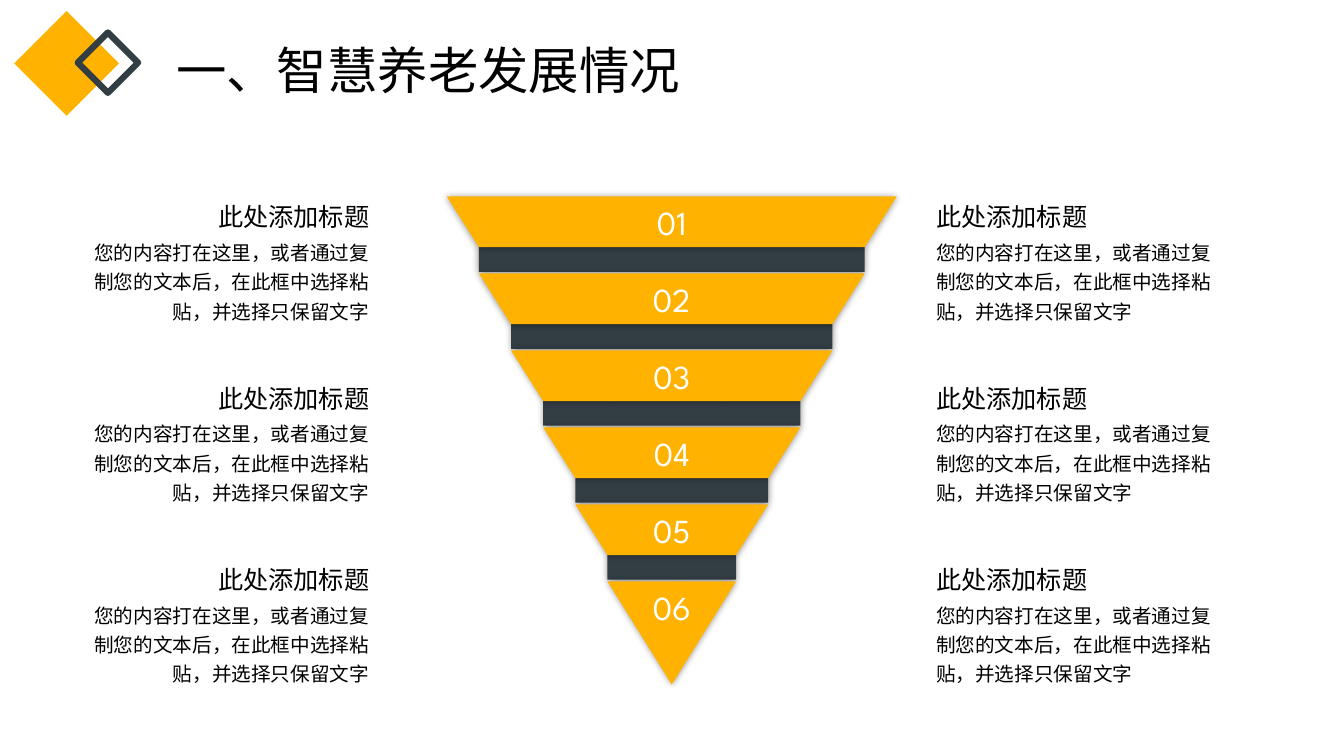
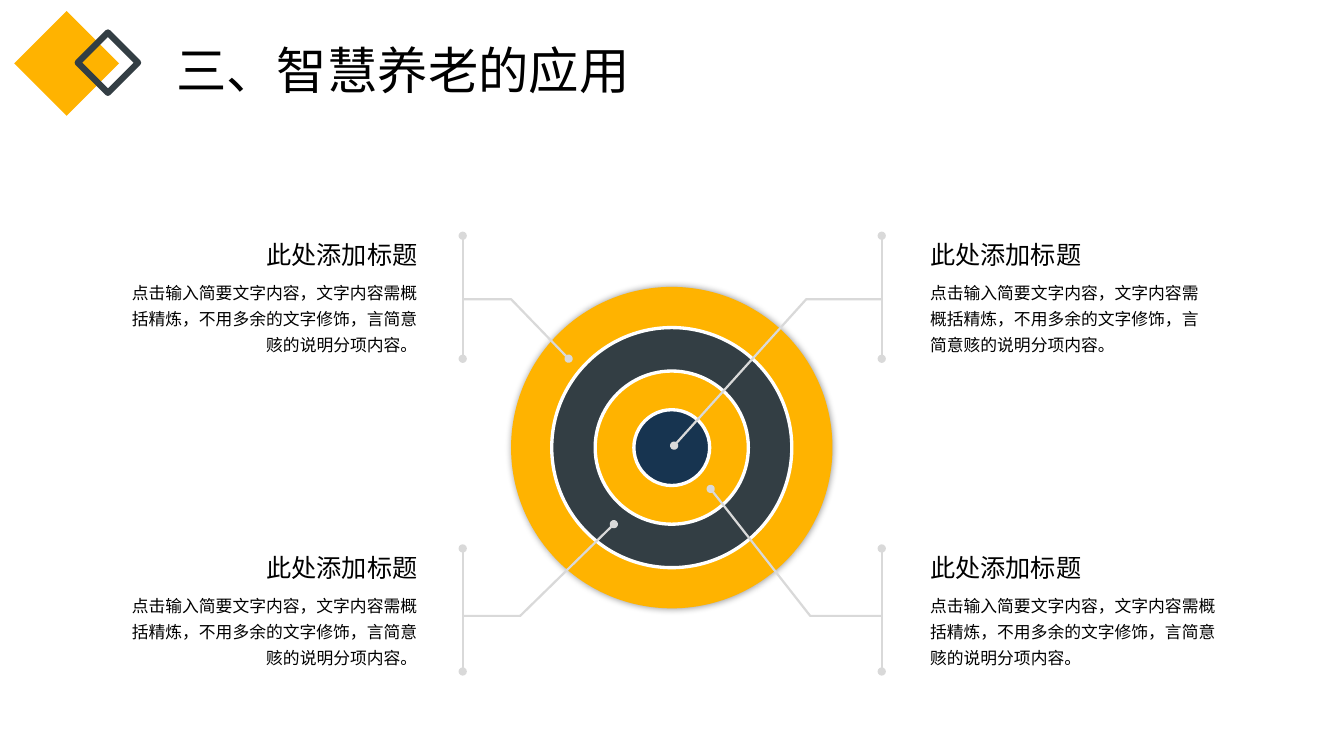
from dataclasses import dataclass

from lxml import etree
from pptx import Presentation
from pptx.dml.color import RGBColor
from pptx.enum.shapes import MSO_CONNECTOR, MSO_SHAPE
from pptx.enum.text import MSO_ANCHOR, MSO_AUTO_SIZE, PP_ALIGN
from pptx.oxml.ns import qn
from pptx.util import Cm, Pt

LEFT, CENTER, RIGHT = PP_ALIGN.LEFT, PP_ALIGN.CENTER, PP_ALIGN.RIGHT
DIAMOND, OVAL, RECT = MSO_SHAPE.DIAMOND, MSO_SHAPE.OVAL, MSO_SHAPE.RECTANGLE
STRAIGHT = MSO_CONNECTOR.STRAIGHT
TOP, FIXED_SIZE = MSO_ANCHOR.TOP, MSO_AUTO_SIZE.NONE
TITLE_ONLY = 5


@dataclass(frozen=True)
class Theme:
    amber: str = "FFB300"
    slate: str = "333E44"
    navy: str = "173450"
    grey: str = "D9D9D9"
    white: str = "FFFFFF"
    black: str = "000000"
    title_font: str = "Noto Sans CJK SC"
    text_font: str = "League Spartan"
    title_size: int = 36
    number_size: int = 24
    heading_size: int = 18
    body_size: int = 14
    note_size: int = 12
    outline: float = 4.5
    ring_line: float = 2.39
    leader_line: float = 1.6


THEME = Theme()
FRAME_FORMAT = {"word_wrap": True, "auto_size": FIXED_SIZE, "vertical_anchor": TOP,
                "margin_left": Cm(0.25), "margin_right": Cm(0.25),
                "margin_top": Cm(0.13), "margin_bottom": Cm(0.13)}

HEADING = "此处添加标题"
FUNNEL_TEXT = "您的内容打在这里，或者通过复制您的文本后，在此框中选择粘贴，并选择只保留文字"
TARGET_TEXT = "点击输入简要文字内容，文字内容需概括精炼，不用多余的文字修饰，言简意赅的说明分项内容。"


# Shared formatting
def apply_format(target, values):
    for name, value in values.items():
        setattr(target, name, value)


def write(shape, text, size, color=THEME.black, font=THEME.text_font,
          align=LEFT, spacing=1.0):
    frame = shape.text_frame
    apply_format(frame, FRAME_FORMAT)
    paragraph = frame.paragraphs[0]
    apply_format(paragraph, {"alignment": align, "line_spacing": spacing})
    run = paragraph.add_run()
    run.text = text
    apply_format(run.font, {"name": font, "size": Pt(size), "bold": False})
    run.font.color.rgb = RGBColor.from_string(color)
    east_asian = etree.SubElement(run.font._element, qn("a:ea"))
    east_asian.set("typeface", font)


def set_line(shape, color, weight):
    shape.line.color.rgb = RGBColor.from_string(color)
    shape.line.width = Pt(weight)


def paint(shape, fill=None, line=None, weight=1, glow=False):
    if fill:
        shape.fill.solid()
        shape.fill.fore_color.rgb = RGBColor.from_string(fill)
    else:
        shape.fill.background()
    if line:
        set_line(shape, line, weight)
    else:
        shape.line.fill.background()
    shape.shadow.inherit = False
    if glow:
        effects = shape._element.spPr.find(qn("a:effectLst"))
        shadow = etree.SubElement(effects, qn("a:outerShdw"), blurRad=str(int(Pt(5))),
                                  dist="0", dir="0", algn="ctr", rotWithShape="0")
        black = etree.SubElement(shadow, qn("a:srgbClr"), val=THEME.black)
        etree.SubElement(black, qn("a:alpha"), val="40000")


def add_dots(shape, *ends):
    line = shape._element.spPr.find(qn("a:ln"))
    for end in ends:
        etree.SubElement(line, qn(f"a:{end}"), type="oval")


def add_preset(slide, kind, x, y, width, height, **look):
    shape = slide.shapes.add_shape(kind, Cm(x), Cm(y), Cm(width), Cm(height))
    paint(shape, **look)


def add_outline(slide, points, closed, **look):
    start, *rest = [(Cm(x), Cm(y)) for x, y in points]
    builder = slide.shapes.build_freeform(*start, scale=1.0)
    builder.add_line_segments(rest, close=closed)
    shape = builder.convert_to_shape()
    paint(shape, **look)
    return shape


# Header: two diamonds and the slide title
def add_header(slide, text, x=0.36, y=0.28):
    add_preset(slide, DIAMOND, x, y, 2.64, 2.64, fill=THEME.amber)
    add_preset(slide, DIAMOND, x + 1.6, y + 0.54, 1.52, 1.52,
               line=THEME.slate, weight=THEME.outline)
    title = slide.shapes.title
    apply_format(title, {"left": Cm(x + 3.83), "top": Cm(y + 0.36),
                         "width": Cm(17.73), "height": Cm(1.93)})
    write(title, text, THEME.title_size, font=THEME.title_font, spacing=1.14)


# Heading with a paragraph under it
def add_text_block(slide, x, y, width, align, text, size, spacing, drop):
    parts = ((HEADING, 0, 1.02, THEME.heading_size, 1.0),
             (text, drop, 2.4, size, spacing))
    for words, offset, height, points, leading in parts:
        box = slide.shapes.add_textbox(Cm(x), Cm(y + offset), Cm(width), Cm(height))
        write(box, words, points, align=align, spacing=leading)


# Inverted funnel of numbered bands, joined by dark bars
def add_funnel(slide, center, top, half, levels=6):
    pitch, inset, band, bar, tip = 1.94, 0.81, 1.28, 0.62, 2.6
    for level in range(levels):
        y = top + level * pitch
        upper = half - level * inset
        lower = upper - inset
        corners = [(center - upper, y), (center + upper, y)]
        if level < levels - 1:
            add_preset(slide, RECT, center - lower, y + band, 2 * lower, bar,
                       fill=THEME.slate, glow=True)
            corners += [(center + lower, y + band), (center - lower, y + band)]
        else:
            corners.append((center, y + tip))
        step = add_outline(slide, corners, True, fill=THEME.amber, glow=True)
        write(step, f"{level + 1:02d}", THEME.number_size, THEME.white, align=CENTER)


# Concentric target
def add_target(slide, center_x, center_y):
    rings = ((8.1, THEME.amber), (6.05, THEME.slate),
             (3.86, THEME.amber), (1.91, THEME.navy))
    for index, (size, color) in enumerate(rings):
        edge = {"line": THEME.white, "weight": THEME.ring_line} if index else {"glow": True}
        add_preset(slide, OVAL, center_x - size / 2, center_y - size / 2,
                   size, size, fill=color, **edge)


# Vertical bracket with a leader to a ring
def add_callout(slide, x, y, drop, elbow, tip):
    bracket = slide.shapes.add_connector(STRAIGHT, Cm(x), Cm(y), Cm(x), Cm(y + 3.1))
    set_line(bracket, THEME.grey, THEME.leader_line)
    add_dots(bracket, "headEnd", "tailEnd")
    etree.SubElement(bracket._element.spPr, qn("a:effectLst"))
    leader = add_outline(slide, [(x, y + drop), (x + elbow, y + drop), tip], False,
                         line=THEME.grey, weight=THEME.leader_line)
    add_dots(leader, "tailEnd")


def build_funnel_slide(slide):
    add_header(slide, "一、智慧养老发展情况")
    add_funnel(slide, center=16.93, top=4.95, half=5.67)
    for x, align in ((1.99, RIGHT), (23.34, LEFT)):
        for row in range(3):
            add_text_block(slide, x, 4.95 + row * 4.57, 7.57, align,
                           FUNNEL_TEXT, THEME.body_size, 1.25, 0.84)


def build_target_slide(slide):
    add_header(slide, "三、智慧养老的应用")
    center_x, center_y = 16.93, 11.28
    add_target(slide, center_x, center_y)
    left, right, upper, lower = 11.66, 22.22, 5.94, 13.82
    # Bracket x and y, leader drop, elbow, tip from the centre, text x, width, alignment
    callouts = (
        (left, upper, 1.6, 1.22, (-2.6, -2.24), 2.87, 7.9, RIGHT),
        (left, lower, 1.7, 1.45, (-1.46, 1.93), 2.87, 7.9, RIGHT),
        (right, upper, 1.6, -1.9, (0.06, -0.05), 23.19, 7.59, LEFT),
        (right, lower, 1.7, -1.8, (0.98, 1.04), 23.19, 8.0, LEFT),
    )
    for x, y, drop, elbow, (dx, dy), text_x, width, align in callouts:
        add_callout(slide, x, y, drop, elbow, (center_x + dx, center_y + dy))
        add_text_block(slide, text_x, y - 0.04, width, align,
                       TARGET_TEXT, THEME.note_size, 1.3, 0.94)


def main():
    deck = Presentation()
    deck.slide_width, deck.slide_height = Cm(33.87), Cm(19.05)
    for build in (build_funnel_slide, build_target_slide):
        build(deck.slides.add_slide(deck.slide_layouts[TITLE_ONLY]))
    deck.save("out.pptx")


if __name__ == "__main__":
    main()
